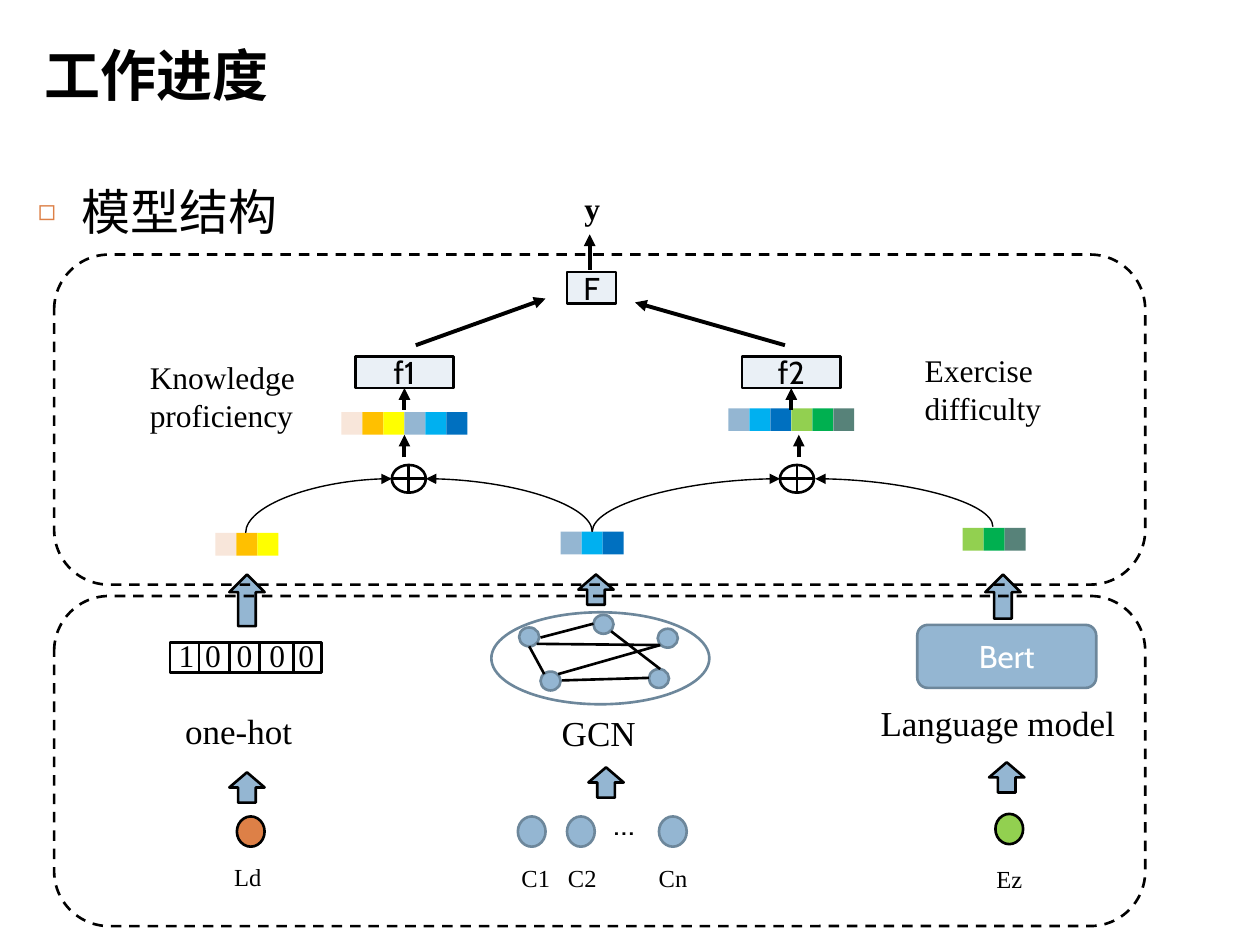
from lxml.etree import SubElement
from pptx import Presentation
from pptx.dml.color import RGBColor
from pptx.enum.dml import MSO_LINE
from pptx.enum.shapes import MSO_CONNECTOR as Link, MSO_SHAPE as Preset
from pptx.enum.text import MSO_ANCHOR as Anchor, MSO_AUTO_SIZE as AutoSize, PP_ALIGN as Align
from pptx.oxml.ns import qn
from pptx.util import Inches, Pt

BLACK = RGBColor(0x00, 0x00, 0x00)
WHITE = RGBColor(0xFF, 0xFF, 0xFF)
STEEL = RGBColor(0x94, 0xB6, 0xD2)
STEEL_DARK = RGBColor(0x6D, 0x87, 0x9B)
PALE_BLUE = RGBColor(0xEA, 0xF0, 0xF6)
ORANGE = RGBColor(0xDD, 0x80, 0x47)
LIME = RGBColor(0x92, 0xD0, 0x50)
LEARNER_COLORS = [RGBColor(0xF8, 0xE6, 0xDA), RGBColor(0xFF, 0xC0, 0x00), RGBColor(0xFF, 0xFF, 0x00)]
CONCEPT_COLORS = [STEEL, RGBColor(0x00, 0xB0, 0xF0), RGBColor(0x00, 0x70, 0xC0)]
EXERCISE_COLORS = [LIME, RGBColor(0x00, 0xB0, 0x50), RGBColor(0x57, 0x82, 0x79)]

SERIF = "Times New Roman"
SANS = "Cabin"
CJK = "Noto Sans CJK SC"
CELL_WIDTH = 0.5 / 3


def add_text(paragraph, text, size, font, color=BLACK, bold=False):
    run = paragraph.add_run()
    run.text = text
    run.font.size = Pt(size)
    run.font.name = font
    run.font.bold = bold
    run.font.color.rgb = color
    return run


def set_cjk_font(run):
    SubElement(run.font._element, qn("a:ea"), typeface=CJK)


def place(shape, left, top, width, height):
    shape.left, shape.top = Inches(left), Inches(top)
    shape.width, shape.height = Inches(width), Inches(height)


def add_heading(slide):
    title = slide.shapes.title
    place(title, 0.25, 0.25, 6.92, 0.67)
    title.text_frame.vertical_anchor = Anchor.MIDDLE
    paragraph = title.text_frame.paragraphs[0]
    paragraph.alignment = Align.LEFT
    set_cjk_font(add_text(paragraph, "工作进度", 32, CJK, bold=True))


def add_bullet_body(slide):
    body = slide.placeholders[1]
    place(body, 0.2, 1.39, 9.45, 5.43)
    paragraph = body.text_frame.paragraphs[0]
    props = paragraph._p.get_or_add_pPr()
    props.set("marL", str(Inches(0.35)))
    props.set("indent", str(-Inches(0.35)))
    bullet_color = SubElement(props, qn("a:buClr"))
    SubElement(bullet_color, qn("a:srgbClr"), val=str(ORANGE))
    SubElement(props, qn("a:buSzPct"), val="60000")
    SubElement(props, qn("a:buChar"), char="◻")
    paragraph.space_before = Pt(7)
    set_cjk_font(add_text(paragraph, "模型结构", 28, "Cambria"))


def add_label(slide, lines, left, top, width, height, size, font=SERIF, bold=False):
    box = slide.shapes.add_textbox(Inches(left), Inches(top), Inches(width), Inches(height))
    frame = box.text_frame
    frame.word_wrap = True
    frame.auto_size = AutoSize.SHAPE_TO_FIT_TEXT
    for i, line in enumerate(lines):
        paragraph = frame.add_paragraph() if i else frame.paragraphs[0]
        add_text(paragraph, line, size, font, bold=bold)


def add_box(slide, preset, left, top, width, height, fill=None, line=BLACK):
    box = slide.shapes.add_shape(preset, Inches(left), Inches(top), Inches(width), Inches(height))
    box.shadow.inherit = False
    if fill is None:
        box.fill.background()
    else:
        box.fill.solid()
        box.fill.fore_color.rgb = fill
    if line is None:
        box.line.fill.background()
    else:
        box.line.color.rgb = line
        box.line.width = Pt(1.5)
    return box


def add_named_box(slide, preset, name, left, top, width, height, fill, line, color):
    box = add_box(slide, preset, left, top, width, height, fill, line)
    box.text_frame.vertical_anchor = Anchor.MIDDLE
    paragraph = box.text_frame.paragraphs[0]
    paragraph.alignment = Align.CENTER
    add_text(paragraph, name, 18, SANS, color)
    return box


def add_function(slide, name, left, top, width):
    return add_named_box(slide, Preset.RECTANGLE, name, left, top, width, 0.25, PALE_BLUE, BLACK, BLACK)


def add_frame(slide, top):
    frame = add_box(slide, Preset.ROUNDED_RECTANGLE, 0.43, top, 8.66, 2.62)
    frame.line.dash_style = MSO_LINE.DASH


def add_line(slide, start, end, width=1.5, arrow=False, kind=Link.STRAIGHT):
    line = slide.shapes.add_connector(kind, *(Inches(v) for v in (*start, *end)))
    line.line.color.rgb = BLACK
    line.line.width = Pt(width)
    if arrow:
        SubElement(line.line._get_or_add_ln(), qn("a:tailEnd"), type="triangle")
    SubElement(line._element.spPr, qn("a:effectLst"))
    return line


def add_arrow(slide, start, end):
    return add_line(slide, start, end, 2.25, arrow=True)


def add_curve(slide, start, end):
    """Arc that leaves start upwards and reaches end sideways: a quarter-turned curved connector."""
    (x0, y0), (x1, y1) = start, end
    mid_x, mid_y = (x0 + x1) / 2, (y0 + y1) / 2
    half_width, half_height = (y0 - y1) / 2, abs(x1 - x0) / 2
    side = 1 if x1 > x0 else -1
    curve = add_line(slide, (mid_x + side * half_width, mid_y + half_height),
                     (mid_x - side * half_width, mid_y - half_height), 0.79, True, Link.CURVE)
    props = curve._element.spPr
    props.find(qn("a:xfrm")).set("rot", str((90 if side > 0 else 270) * 60000))
    props.find(qn("a:prstGeom")).set("prst", "curvedConnector2")


def add_embedding(slide, left, top, colors):
    for i, color in enumerate(colors):
        add_box(slide, Preset.RECTANGLE, left + i * CELL_WIDTH, top, CELL_WIDTH, 0.18, color, None)


def add_graph(slide):
    add_box(slide, Preset.OVAL, 3.9, 4.86, 1.73, 0.73, None, STEEL_DARK)
    for left, top in [(4.12, 4.98), (5.22, 4.99), (4.29, 5.33), (4.71, 4.88), (5.15, 5.31)]:
        add_box(slide, Preset.OVAL, left, top, 0.16, 0.15, STEEL, STEEL_DARK)
    for start, end in [((4.29, 5.06), (4.71, 4.95)), ((4.46, 5.4), (5.15, 5.38)),
                       ((4.32, 5.35), (4.2, 5.13)), ((4.26, 5.11), (5.24, 5.12)),
                       ((4.85, 5.01), (5.24, 5.31)), ((4.43, 5.35), (5.24, 5.12))]:
        add_line(slide, start, end)


def add_one_hot(slide):
    add_box(slide, Preset.RECTANGLE, 1.35, 5.1, 1.2, 0.24)
    for x in (1.58, 1.82, 2.06, 2.33):
        add_line(slide, (x, 5.1), (x, 5.34))
    for digit, left in zip("10000", (1.32, 1.53, 1.78, 2.04, 2.27)):
        add_label(slide, [digit], left, 5, 0.25, 0.4, 18)


def add_inputs(slide):
    for name, left, top, fill, line, label_left, label_top in [
            ("C1", 4.11, 6.48, STEEL, STEEL_DARK, 4.04, 6.8),
            ("C2", 4.5, 6.48, STEEL, STEEL_DARK, 4.41, 6.8),
            ("Cn", 5.23, 6.48, STEEL, STEEL_DARK, 5.13, 6.8),
            ("Ld", 1.88, 6.48, ORANGE, BLACK, 1.76, 6.79),
            ("Ez", 7.9, 6.46, LIME, BLACK, 7.81, 6.81)]:
        add_box(slide, Preset.OVAL, left, top, 0.22, 0.24, fill, line)
        add_label(slide, [name], label_left, label_top, 0.46, 0.34, 14)
    add_label(slide, ["…"], 4.77, 6.33, 0.28, 0.4, 18, SANS)


def add_encoders(slide):
    add_graph(slide)
    add_one_hot(slide)
    add_named_box(slide, Preset.ROUNDED_RECTANGLE, "Bert", 7.28, 4.96, 1.42, 0.5, STEEL, STEEL_DARK, WHITE)
    for name, left, top, width in [("GCN", 4.36, 5.6, 0.99), ("one-hot", 1.37, 5.58, 1.39),
                                   ("Language model", 6.89, 5.52, 2.3)]:
        add_label(slide, [name], left, top, width, 0.44, 20)
    for left, top, height in [(1.82, 6.13, 0.24), (4.67, 6.09, 0.24), (7.85, 6.05, 0.24),
                              (1.82, 4.56, 0.41), (4.59, 4.56, 0.24), (7.82, 4.56, 0.35)]:
        add_box(slide, Preset.UP_ARROW, left, top, 0.28, height, STEEL)


def add_fusion(slide):
    for left, top, colors in [(1.71, 4.23, LEARNER_COLORS), (4.45, 4.22, CONCEPT_COLORS),
                              (7.64, 4.19, EXERCISE_COLORS),
                              (2.71, 3.27, LEARNER_COLORS + CONCEPT_COLORS),
                              (5.78, 3.24, CONCEPT_COLORS + EXERCISE_COLORS)]:
        add_embedding(slide, left, top, colors)
    for start, end in [((1.95, 4.23), (3.11, 3.8)), ((4.7, 4.22), (3.38, 3.8)),
                       ((4.7, 4.22), (6.19, 3.8)), ((7.88, 4.18), (6.47, 3.8))]:
        add_curve(slide, start, end)
    for left, x in [(3.11, 3.21), (6.19, 6.34)]:
        add_box(slide, Preset.FLOWCHART_OR, left, 3.69, 0.27, 0.22)
        add_arrow(slide, (x, 3.63), (x, 3.45))


def add_prediction(slide):
    for name, left in [("f1", 2.82), ("f2", 5.89)]:
        function = add_function(slide, name, left, 2.83, 0.78)
        x = left + 0.39
        add_arrow(slide, (x, 3.25), (x, 3.08)).end_connect(function, 2)
    add_function(slide, "F", 4.5, 2.16, 0.39)
    for start, end in [((3.3, 2.74), (4.33, 2.37)), ((6.23, 2.74), (5.04, 2.4)), ((4.68, 2.14), (4.68, 1.86))]:
        add_arrow(slide, start, end)
    add_label(slide, ["Knowledge proficiency"], 1.09, 2.79, 1.49, 0.71, 18)
    add_label(slide, ["Exercise", "difficulty"], 7.24, 2.74, 1.49, 0.71, 18)
    add_label(slide, ["y"], 4.54, 1.45, 1.49, 0.4, 18, bold=True)


def main():
    deck = Presentation()
    deck.slide_width, deck.slide_height = Inches(10), Inches(7.5)
    slide = deck.slides.add_slide(deck.slide_layouts[1])
    add_heading(slide)
    add_bullet_body(slide)
    add_inputs(slide)
    add_encoders(slide)
    add_fusion(slide)
    add_prediction(slide)
    for top in (2.02, 4.73):
        add_frame(slide, top)
    deck.save("out.pptx")


if __name__ == "__main__":
    main()
